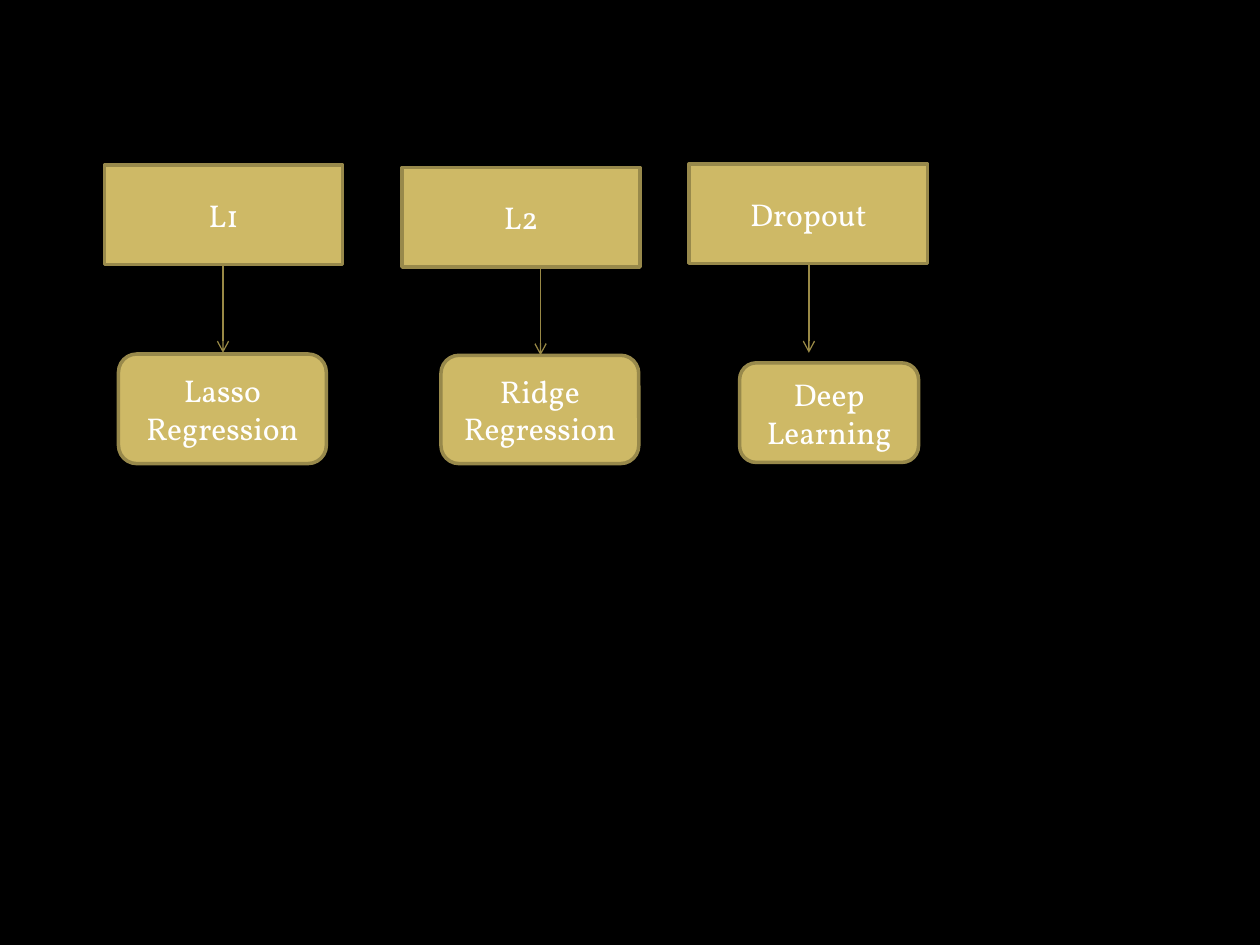
from lxml import etree
from pptx import Presentation
from pptx.dml.color import RGBColor
from pptx.enum.shapes import MSO_CONNECTOR, MSO_SHAPE
from pptx.enum.text import MSO_ANCHOR, PP_ALIGN
from pptx.oxml.ns import qn
from pptx.util import Inches, Pt

RECT, ROUND = MSO_SHAPE.RECTANGLE, MSO_SHAPE.ROUNDED_RECTANGLE
STRAIGHT = MSO_CONNECTOR.STRAIGHT
MIDDLE, CENTER = MSO_ANCHOR.MIDDLE, PP_ALIGN.CENTER

# Content: method and its box, use and its box, arrow x and end y
FLOWS = [
    ("L1", (0.83, 1.31, 1.89, 0.79),
     "Lasso Regression", (0.94, 2.81, 1.65, 0.87), (1.77, 2.8)),
    ("L2", (3.19, 1.33, 1.89, 0.79),
     "Ridge Regression", (3.5, 2.82, 1.57, 0.86), (4.29, 2.82)),
    ("Dropout", (5.47, 1.3, 1.89, 0.79),
     "Deep Learning", (5.87, 2.88, 1.42, 0.79), (6.42, 2.8)),
]
COLORS = {"back": "000000", "fill": "CEB966", "edge": "98894B",
          "arrow": "998946", "text": "FFFFFF"}
FONT = "Vollkorn"


def color(name):
    return RGBColor.from_string(COLORS[name])


def add_box(slide, kind, text, box):
    shape = slide.shapes.add_shape(kind, *map(Inches, box))
    shape.shadow.inherit = False
    shape.fill.solid()
    shape.fill.fore_color.rgb = color("fill")
    shape.line.color.rgb = color("edge")
    shape.line.width = Pt(2)
    frame = shape.text_frame
    frame.word_wrap = True
    frame.vertical_anchor = MIDDLE
    para = frame.paragraphs[0]
    para.text = text
    para.alignment = CENTER
    para.font.name = FONT
    para.font.size = Pt(18)
    para.font.color.rgb = color("text")


def add_arrow(slide, x, top, end):
    arrow = slide.shapes.add_connector(
        STRAIGHT, Inches(x), Inches(top), Inches(x), Inches(end))
    arrow.line.color.rgb = color("arrow")
    arrow.line.width = Pt(0.75)
    props = arrow.element.spPr
    etree.SubElement(props.find(qn("a:ln")), qn("a:tailEnd"), type="arrow")
    etree.SubElement(props, qn("a:effectLst"))


def main():
    deck = Presentation()
    deck.slide_width, deck.slide_height = Inches(10), Inches(7.5)
    slide = deck.slides.add_slide(deck.slide_layouts[6])
    back = slide.background.fill
    back.solid()
    back.fore_color.rgb = color("back")

    # Each method leads down to its use
    for method, top_box, use, low_box, (x, end) in FLOWS:
        add_box(slide, RECT, method, top_box)
        add_box(slide, ROUND, use, low_box)
        add_arrow(slide, x, top_box[1] + top_box[3], end)

    deck.save("out.pptx")


if __name__ == "__main__":
    main()
